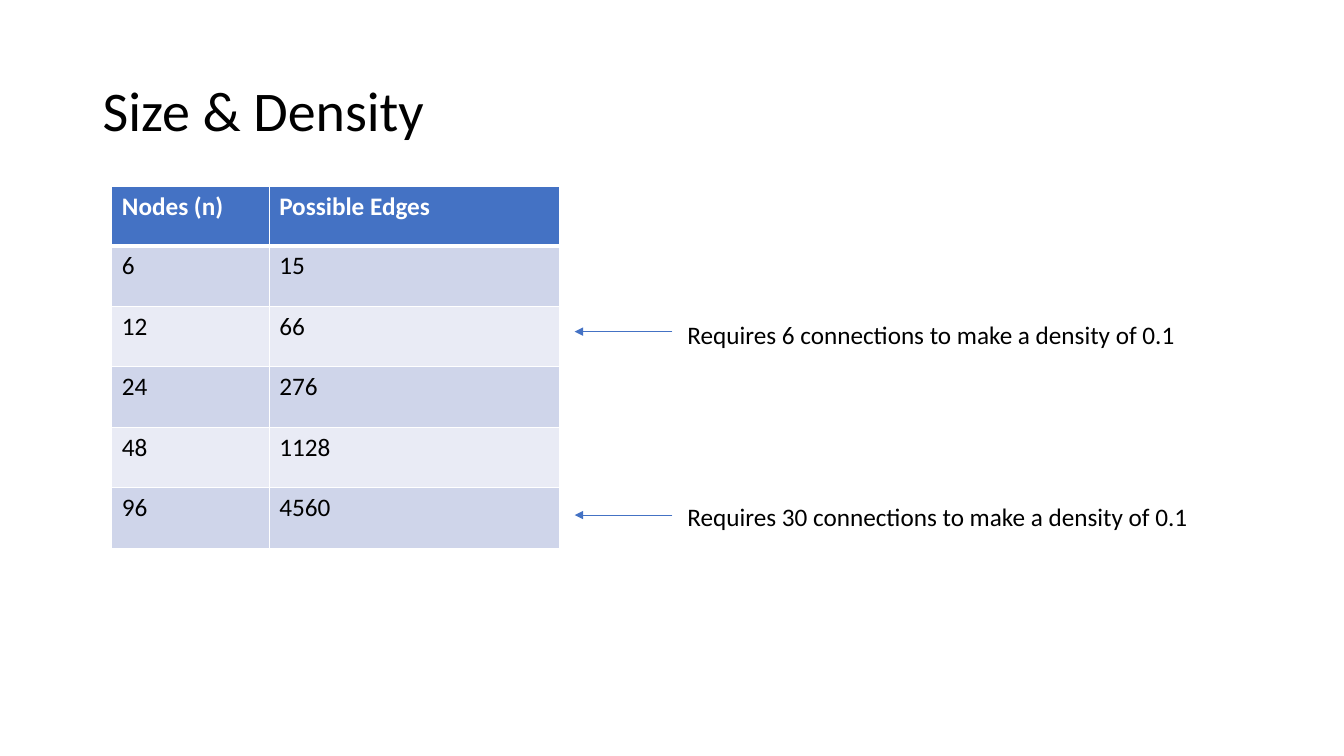
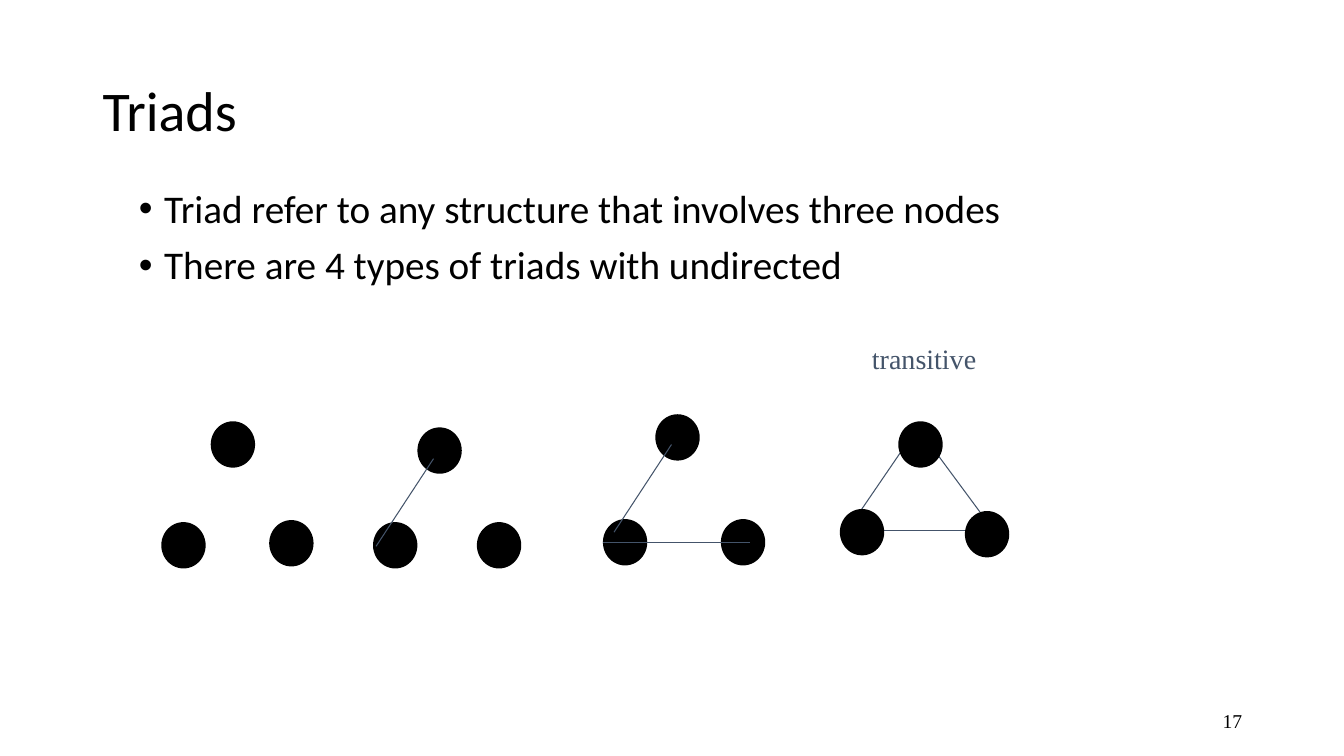
"""Build two slides on network size, density and triads."""
import dataclasses

import lxml.etree
import pptx
import pptx.dml.color
import pptx.enum.shapes
import pptx.enum.text
import pptx.oxml.ns
import pptx.util

Inches = pptx.util.Inches
Pt = pptx.util.Pt
Align = pptx.enum.text.PP_ALIGN
Anchor = pptx.enum.text.MSO_ANCHOR
Shape = pptx.enum.shapes.MSO_SHAPE
qn = pptx.oxml.ns.qn


@dataclasses.dataclass(frozen=True)
class Theme:
    """Colours, fonts and type sizes of the deck."""
    white: str = "FFFFFF"
    black: str = "000000"
    accent: str = "4472C4"
    slate: str = "44546A"
    bands: tuple = ("CFD5EA", "E9EBF5")
    sans: str = "Calibri"
    serif: str = "Times New Roman"
    title: int = 40
    bullet: int = 28
    label: int = 20
    body: int = 18
    number: int = 14


THEME = Theme()
SIZE_TITLE = "Size & Density"
EDGE_ROWS = [("Nodes (n)", "Possible Edges"), ("6", "15"), ("12", "66"),
             ("24", "276"), ("48", "1128"), ("96", "4560")]
COLUMN_WIDTHS = (1.56, 2.88)
ROW_HEIGHT = 0.6
HEADER_HEIGHT = 0.59
DENSITY_NOTES = [
    ("Requires 6 connections to make a density of 0.1", 3.12, 5.1, 3.29),
    ("Requires 30 connections to make a density of 0.1", 4.92, 5.22, 5.11),
]

TRIADS_TITLE = "Triads"
TRIAD_BULLETS = ["Triad refer to any structure that involves three nodes",
                 "There are 4 types of triads with undirected"]
NODE_SIZE = (0.44, 0.46)
TRIADS = [
    {"nodes": [(2.09, 4.18), (1.6, 5.18), (2.67, 5.16)]},
    {"nodes": [(4.14, 4.24), (3.7, 5.18), (4.73, 5.18)],
     "front": [((4.3, 4.55), (3.73, 5.42))]},
    {"nodes": [(6.5, 4.11), (5.98, 5.15), (7.15, 5.15)],
     "front": [((7.44, 5.38), (5.98, 5.38)), ((6.66, 4.41), (6.09, 5.28))]},
    {"nodes": [(8.91, 4.18), (9.57, 5.07), (8.33, 5.05)],
     "back": [((9.04, 4.33), (8.5, 5.12)), ((9.21, 4.39), (9.72, 5.08)),
              ((9.96, 5.26), (8.5, 5.26))]},
]
TRANSITIVE_LABEL = "transitive"
PAGE_NUMBER = "17"


def rgb(value):
    return pptx.dml.color.RGBColor.from_string(value)


def add_bullet(para):
    properties = para._p.get_or_add_pPr()
    properties.set("marL", str(Inches(0.25)))
    properties.set("indent", str(Inches(-0.25)))
    font = lxml.etree.SubElement(properties, qn("a:buFont"))
    font.set("typeface", "Arial")
    lxml.etree.SubElement(properties, qn("a:buChar")).set("char", "•")


def write(frame, *lines, size=THEME.body, font=THEME.sans, color=THEME.black,
          bold=False, align=Align.LEFT, anchor=Anchor.TOP, wrap=True,
          spacing=None, before=0, bullets=False):
    frame.word_wrap = wrap
    frame.vertical_anchor = anchor
    for index, line in enumerate(lines):
        para = frame.add_paragraph() if index else frame.paragraphs[0]
        para.alignment = align
        if spacing:
            para.line_spacing = spacing
        if index:
            para.space_before = Pt(before)
        if bullets:
            add_bullet(para)
        span = para.add_run()
        span.text = line
        span.font.name = font
        span.font.size = Pt(size)
        span.font.bold = bold
        span.font.color.rgb = rgb(color)


def add_text(page, place, *lines, **style):
    box = page.shapes.add_textbox(*map(Inches, place))
    write(box.text_frame, *lines, **style)


def add_filled(page, kind, place, color):
    shape = page.shapes.add_shape(kind, *map(Inches, place))
    shape.shadow.inherit = False
    shape.fill.solid()
    shape.fill.fore_color.rgb = rgb(color)
    shape.line.fill.background()
    return shape


def add_line(page, start, end, color=THEME.slate, width=0.75, arrow=False):
    line = page.shapes.add_connector(
        pptx.enum.shapes.MSO_CONNECTOR.STRAIGHT, *map(Inches, (*start, *end)))
    line.line.color.rgb = rgb(color)
    line.line.width = Pt(width)
    if arrow:
        tail = lxml.etree.SubElement(line.line._get_or_add_ln(), qn("a:tailEnd"))
        tail.set("type", "triangle")
    lxml.etree.SubElement(line._element.spPr, qn("a:effectLst"))


def add_borders(cell, widths):
    properties = cell._tc.get_or_add_tcPr()
    for side, width in widths.items():
        border = lxml.etree.SubElement(properties, qn(f"a:ln{side}"))
        border.set("w", str(Pt(width)))
        fill = lxml.etree.SubElement(border, qn("a:solidFill"))
        lxml.etree.SubElement(fill, qn("a:srgbClr")).set("val", THEME.white)


def add_edge_table(page):
    heights = [HEADER_HEIGHT] + [ROW_HEIGHT] * (len(EDGE_ROWS) - 1)
    place = (1.11, 1.85, sum(COLUMN_WIDTHS), sum(heights))
    table = page.shapes.add_table(
        len(EDGE_ROWS), len(COLUMN_WIDTHS), *map(Inches, place)).table
    table.horz_banding = False
    for column, width in zip(table.columns, COLUMN_WIDTHS):
        column.width = Inches(width)
    for index, values in enumerate(EDGE_ROWS):
        header = index == 0
        table.rows[index].height = Inches(heights[index])
        for cell, value in zip(table.rows[index].cells, values):
            add_borders(cell, {"L": 1, "R": 1, "T": 3 if index == 1 else 1,
                               "B": 3 if header else 1})
            cell.fill.solid()
            cell.fill.fore_color.rgb = rgb(
                THEME.accent if header else THEME.bands[(index - 1) % 2])
            write(cell.text_frame, value, bold=header,
                  color=THEME.white if header else THEME.black)


def add_page(deck, title):
    page = deck.slides.add_slide(deck.slide_layouts[6])
    page.background.fill.solid()
    page.background.fill.fore_color.rgb = rgb(THEME.white)
    add_text(page, (0.92, 0.4, 11.5, 1.45), title, size=THEME.title,
             anchor=Anchor.MIDDLE, spacing=0.9)
    return page


def build_size_page(deck):
    page = add_page(deck, SIZE_TITLE)
    add_edge_table(page)
    for note, top, width, arrow_y in DENSITY_NOTES:
        add_text(page, (6.72, top, width, 0.4), note, wrap=False)
        add_line(page, (6.67, arrow_y), (5.7, arrow_y),
                 color=THEME.accent, width=0.5, arrow=True)


def build_triads_page(deck):
    page = add_page(deck, TRIADS_TITLE)
    panel = add_filled(page, Shape.RECTANGLE, (1.28, 1.83, 9.38, 4.79), THEME.white)
    write(panel.text_frame, *TRIAD_BULLETS, size=THEME.bullet,
          spacing=0.9, before=10, bullets=True)
    for triad in TRIADS:
        for start, end in triad.get("back", []):
            add_line(page, start, end)
        for corner in triad["nodes"]:
            add_filled(page, Shape.OVAL, (*corner, *NODE_SIZE), THEME.black)
        for start, end in triad.get("front", []):
            add_line(page, start, end)
    add_text(page, (8.55, 3.34, 1.24, 0.44), TRANSITIVE_LABEL, size=THEME.label,
             font=THEME.serif, color=THEME.slate, wrap=False)
    add_text(page, (9.42, 6.95, 3, 0.4), PAGE_NUMBER, size=THEME.number,
             font=THEME.serif, align=Align.RIGHT, anchor=Anchor.MIDDLE)


def main():
    deck = pptx.Presentation()
    deck.slide_width = Inches(13.33)
    deck.slide_height = Inches(7.5)
    build_size_page(deck)
    build_triads_page(deck)
    deck.save("out.pptx")


if __name__ == "__main__":
    main()
